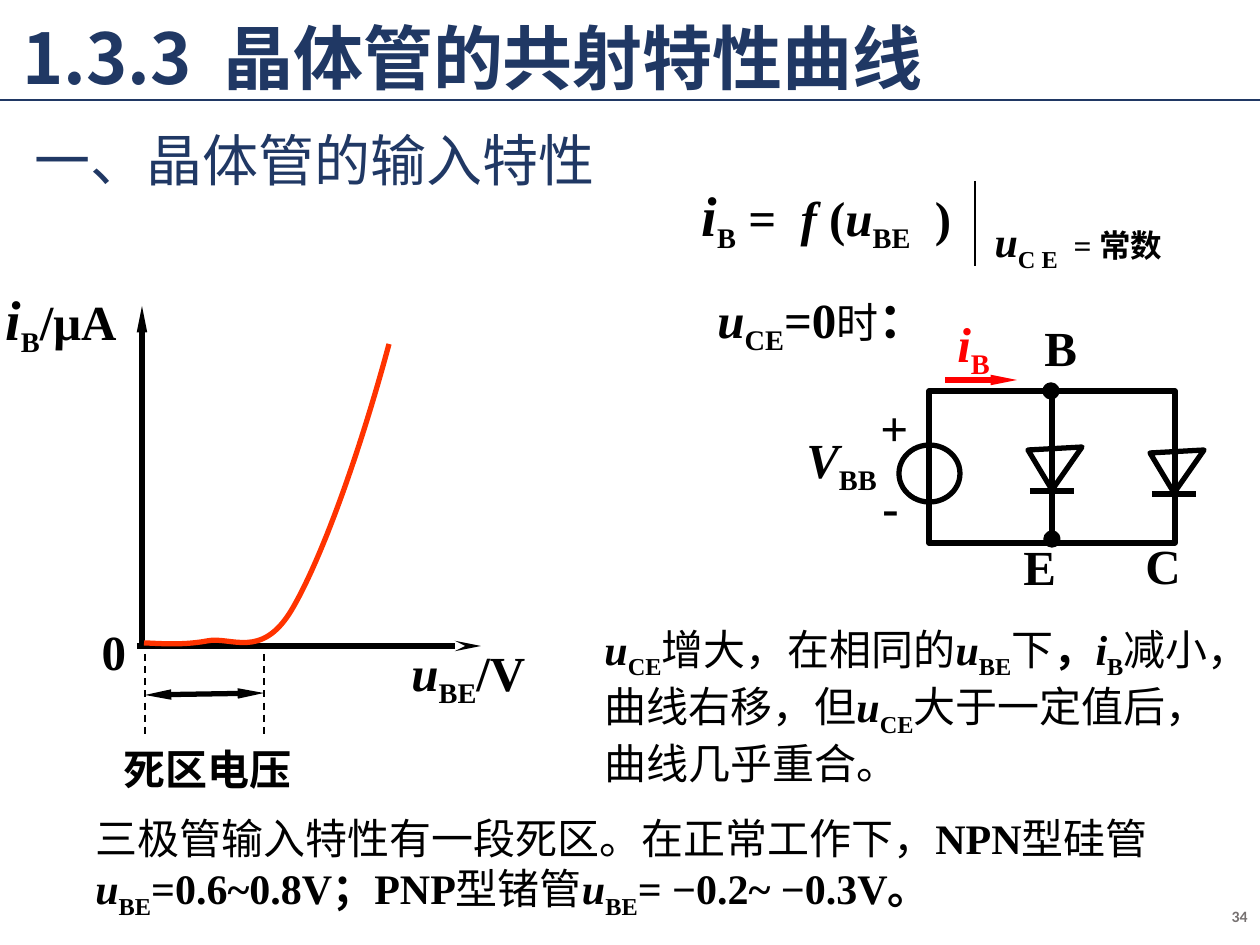
from dataclasses import dataclass
from typing import NamedTuple

from lxml.etree import SubElement
from pptx import Presentation
from pptx.dml.color import RGBColor
from pptx.enum.dml import MSO_LINE_DASH_STYLE as Dash
from pptx.enum.shapes import MSO_CONNECTOR as Connector, MSO_SHAPE as Preset
from pptx.enum.text import MSO_ANCHOR as Anchor, PP_ALIGN as Align
from pptx.oxml.ns import qn
from pptx.util import Emu, Pt

PX = 914400 / 126
NAVY = RGBColor(0x20, 0x38, 0x64)
BLACK = RGBColor(0, 0, 0)
WHITE = RGBColor(0xFF, 0xFF, 0xFF)
RED = RGBColor(0xFF, 0, 0)
ORANGE = RGBColor(0xFF, 0x33, 0)
GREY = RGBColor(0x76, 0x71, 0x71)
TIMES, NOTO = "Times New Roman", "Noto Sans CJK SC"


class Span(NamedTuple):
    """A piece of text in one style."""
    text: str
    font: str = TIMES
    bold: bool = True
    italic: bool = False
    sub: bool = False
    size: float | None = None


@dataclass
class Label:
    """A paragraph in a box of left, top, width, height."""
    box: tuple[int, int, int, int]
    spans: list[Span]
    size: float = 28
    color: RGBColor = BLACK
    align: Align = Align.LEFT
    anchor: Anchor = Anchor.TOP


@dataclass
class Stroke:
    """A straight line, with arrowheads at its start or end."""
    start: tuple[int, int]
    end: tuple[int, int]
    color: RGBColor = BLACK
    width: float = 3
    dashed: bool = False
    head: str = ""
    tail: str = ""


def px(value: float) -> Emu:
    """Turn pixels into EMU."""
    return Emu(round(value * PX))


def symbol(letter: str, index: str, size: float | None = None) -> list[Span]:
    """Italic quantity with a subscript."""
    return [Span(letter, italic=True, size=size), Span(index, sub=True)]


def han(text: str) -> Span:
    """Plain Chinese text."""
    return Span(text, NOTO, False)


def set_face(font, face: str) -> None:
    """Set the Latin face and the East Asian one."""
    font.name = face
    SubElement(font._rPr, qn("a:ea")).set("typeface", NOTO)


def add_label(label: Label) -> None:
    """Write a label; centred labels stay on one line."""
    frame = slide.shapes.add_textbox(*map(px, label.box)).text_frame
    frame.word_wrap = label.align != Align.CENTER
    frame.vertical_anchor = label.anchor
    line = frame.paragraphs[0]
    line.alignment = label.align
    line.font.size, line.font.color.rgb = Pt(label.size), label.color
    faces = {span.font for span in label.spans}
    weights = {span.bold for span in label.spans}
    if len(weights) == 1:
        line.font.bold = label.spans[0].bold
    if len(faces) == 1:
        set_face(line.font, label.spans[0].font)
    for span in label.spans:
        run = line.add_run()
        run.text = span.text
        if span.size:
            run.font.size = Pt(span.size)
        if len(weights) > 1:
            run.font.bold = span.bold
        if span.italic:
            run.font.italic = True
        if len(faces) > 1:
            set_face(run.font, span.font)
        if span.sub:
            run.font._rPr.set("baseline", "-25000")


def add_stroke(stroke: Stroke) -> None:
    """Draw a straight line."""
    link = slide.shapes.add_connector(
        Connector.STRAIGHT, *map(px, stroke.start + stroke.end))
    link.line.color.rgb, link.line.width = stroke.color, Pt(stroke.width)
    if stroke.dashed:
        link.line.dash_style = Dash.DASH
    for tag, kind in (("a:headEnd", stroke.head), ("a:tailEnd", stroke.tail)):
        if kind:
            end = SubElement(link.line._get_or_add_ln(), qn(tag))
            for key, value in (("type", kind), ("w", "sm"), ("len", "lg")):
                end.set(key, value)
    SubElement(link._element.spPr, qn("a:effectLst"))


def finish(shape, fill: RGBColor | None, line: RGBColor = BLACK) -> None:
    """Set fill and outline, without shadow."""
    shape.shadow.inherit = False
    if fill is None:
        shape.fill.background()
    else:
        shape.fill.solid()
        shape.fill.fore_color.rgb = fill
    shape.line.color.rgb, shape.line.width = line, Pt(3)


def add_preset(kind: Preset, box: tuple[int, int, int, int], fill: RGBColor | None) -> None:
    """Draw a preset shape."""
    finish(slide.shapes.add_shape(kind, *map(px, box)), fill)


def add_outline(points: list[tuple[int, int]], closed: bool):
    """Draw an outline through points."""
    builder = slide.shapes.build_freeform(*points[0], scale=PX)
    builder.add_line_segments(points[1:], close=closed)
    return builder.convert_to_shape()


def add_curve(points: list[tuple[int, int]]) -> None:
    """Draw a curve of Bezier pieces, three points to a piece."""
    shape = add_outline(points, False)
    finish(shape, None, ORANGE)
    segments = list(shape._element.iter(qn("a:lnTo")))
    for first in range(0, len(segments), 3):
        bezier, *others = segments[first:first + 3]
        bezier.tag = qn("a:cubicBezTo")
        for other in others:
            bezier.append(other[0])
            other.getparent().remove(other)


def add_diode(x: int, y: int) -> None:
    """Draw a diode with its tip at x, y."""
    add_stroke(Stroke((x - 22, y + 1), (x + 22, y + 1)))
    finish(add_outline([(x, y), (x + 30, y - 43), (x - 24, y - 40)], True), WHITE)


deck = Presentation()
deck.slide_width, deck.slide_height = px(1260), px(945)
slide = deck.slides.add_slide(deck.slide_layouts[6])
CENTER, MIDDLE = Align.CENTER, Anchor.MIDDLE

LABELS = [
    Label((0, 8, 945, 97), [Span("1.3.3  晶体管的共射特性曲线", NOTO)], 40, NAVY, CENTER, MIDDLE),
    Label((22, 122, 640, 74), [han("一、晶体管的输入特性")], 32, NAVY, anchor=MIDDLE),
    Label((649, 178, 355, 79), [*symbol("i", "B", 32), Span(" = "), Span(" f", italic=True),
          Span(" ("), *symbol("u", "BE"), Span("  )")], 28, BLACK, CENTER, MIDDLE),
    Label((975, 213, 207, 63), [*symbol("u", "C E"), Span("  = 常数", size=18)],
          24, BLACK, CENTER, MIDDLE),
    Label((110, 737, 195, 63), [Span("死区电压")], 24, BLACK, CENTER, MIDDLE),
    Label((399, 640, 232, 72), [*symbol("u", "BE"), Span("/V")], anchor=MIDDLE),
    Label((-7, 282, 156, 79), [*symbol("i", "B", 32), Span("/μA")], anchor=MIDDLE),
    Label((89, 615, 50, 72), [Span("0")], align=CENTER, anchor=MIDDLE),
    Label((705, 283, 296, 72), [*symbol("u", "CE"), Span("=0"),
          Span("时", NOTO, False, size=24), Span("：")]),
    Label((868, 391, 84, 72), [Span("+")]),
    Label((870, 470, 84, 72), [Span("-")]),
    Label((794, 423, 190, 72), symbol("V", "BB")),
    Label((1032, 311, 97, 72), [Span("B")]),
    Label((1133, 529, 97, 72), [Span("C")]),
    Label((1011, 530, 97, 72), [Span("E")]),
    Label((945, 307, 67, 72), symbol("i", "B"), color=RED),
    Label((592, 617, 635, 165), [
        *symbol("u", "CE"), han("增大，在相同的"), *symbol("u", "BE"), han("下"), Span("，"),
        *symbol("i", "B"), han("减小，曲线右移，但"), *symbol("u", "CE"),
        han("大于一定值后，曲线几乎重合。")], 24),
    Label((83, 806, 1124, 115), [
        han("三极管输入特性有一段死区。在正常工作下，"), Span("NPN"), han("型硅管"),
        *symbol("u", "BE"), Span("=0.6~0.8V；PNP"), han("型锗管"), *symbol("u", "BE"),
        Span("= −0.2~ −0.3V。")], 24),
    Label((976, 891, 284, 50), [Span("34", "Calibri")], 9, GREY, Align.RIGHT, MIDDLE),
]
STROKES = [
    Stroke((0, 100), (1260, 100), NAVY, 1),
    Stroke((975, 181), (975, 266), width=0.75),
    *(Stroke((x, 654), (x, 739), width=1, dashed=True) for x in (145, 264)),
    Stroke((145, 695), (264, 693), head="triangle", tail="triangle"),
    Stroke((137, 646), (481, 646), tail="stealth"),
    Stroke((142, 648), (142, 306), tail="triangle"),
    Stroke((945, 380), (1017, 380), RED, tail="triangle"),
]
INPUT_CURVE = [(144, 643), (154, 643), (181, 646), (207, 641), (231, 636),
               (261, 660), (291, 611), (321, 561), (360, 452), (389, 344)]

for stroke in STROKES:
    add_stroke(stroke)
add_curve(INPUT_CURVE)

add_preset(Preset.OVAL, (899, 445, 61, 57), WHITE)
for dot in ((1045, 385, 12, 12), (1046, 533, 12, 12)):
    add_preset(Preset.OVAL, dot, BLACK)
for tip in ((1052, 490), (1174, 493)):
    add_diode(*tip)
add_stroke(Stroke((1052, 393), (1052, 543)))
add_preset(Preset.RECTANGLE, (929, 391, 246, 152), None)
for label in LABELS:
    add_label(label)

deck.save("out.pptx")
